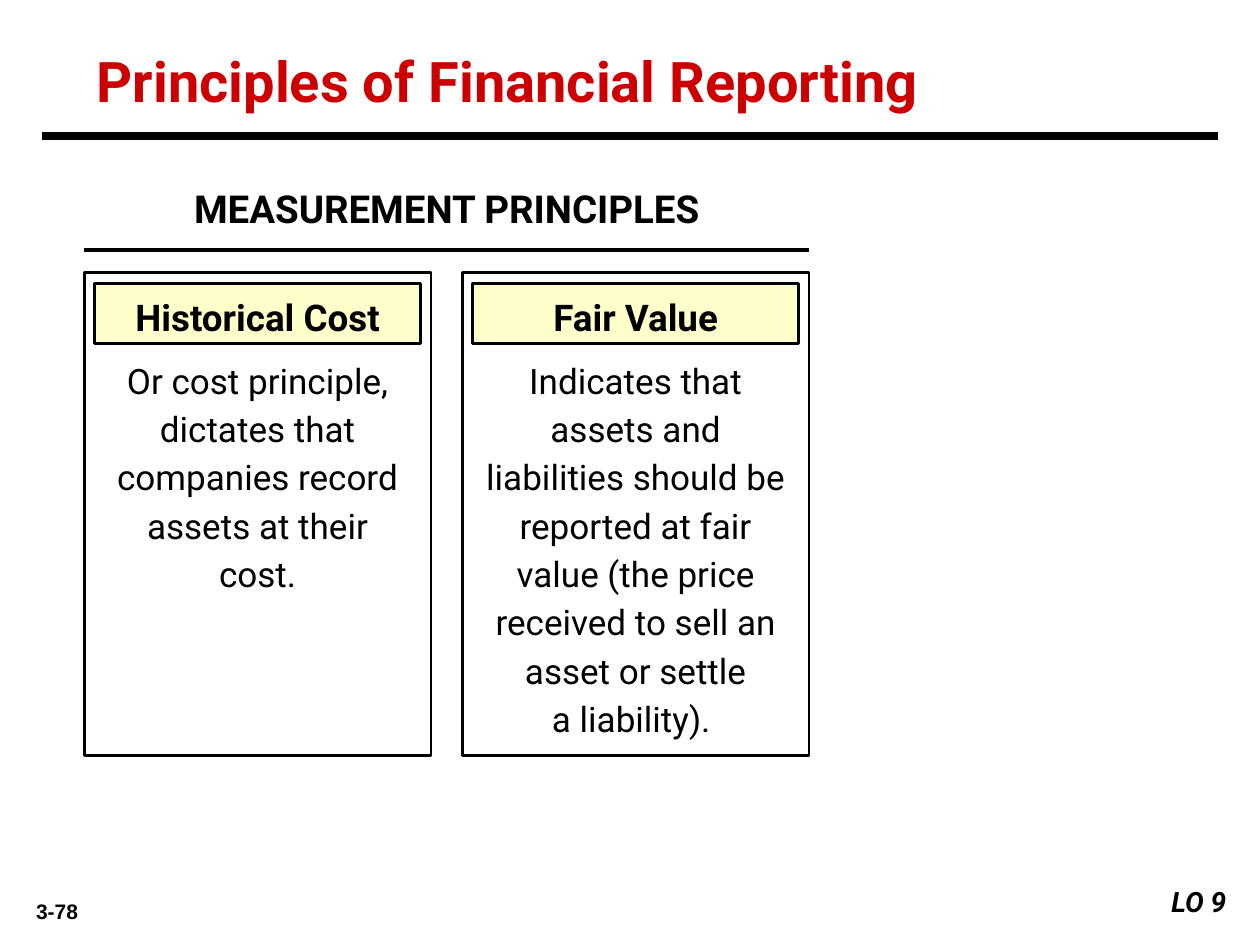
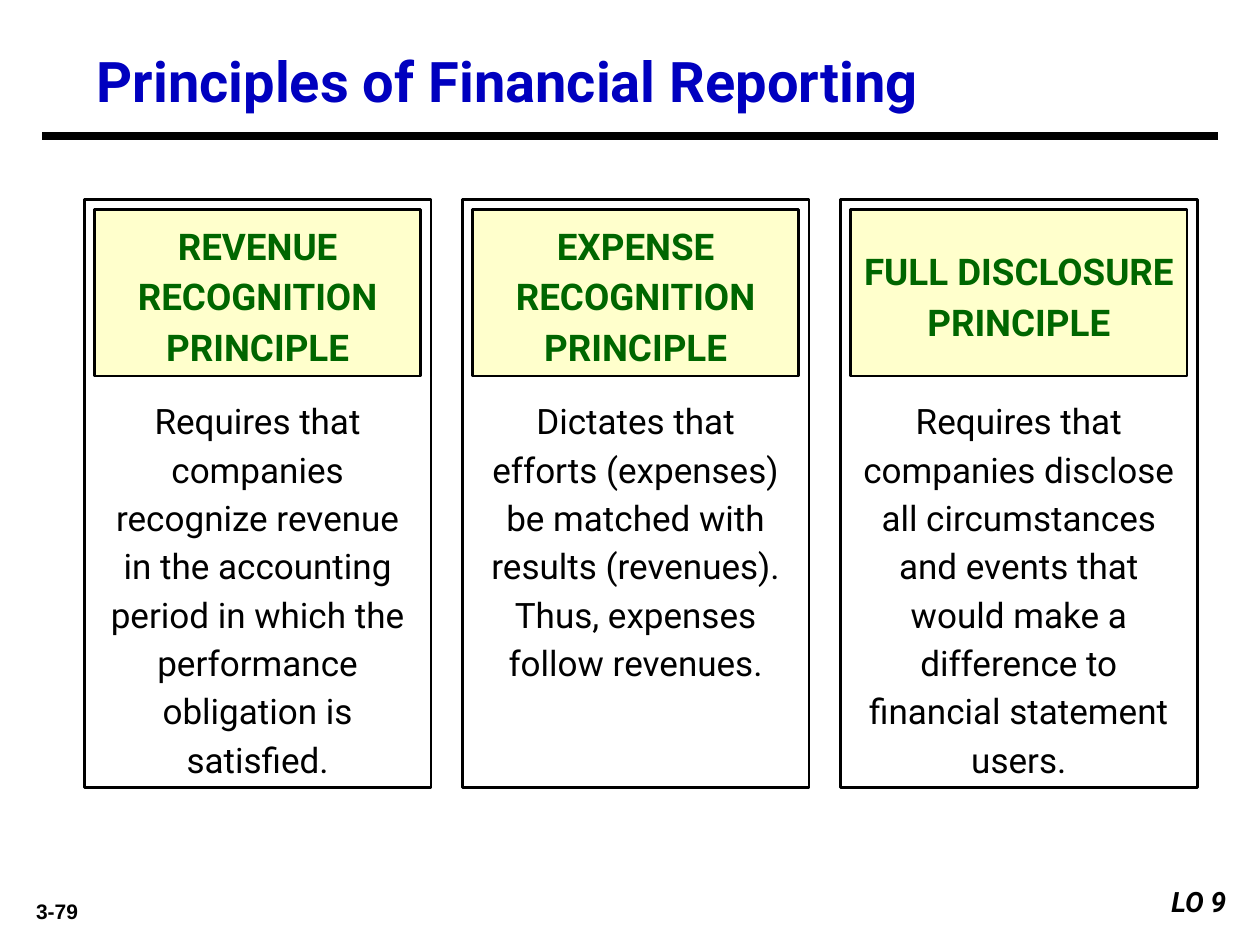
from lxml.etree import SubElement
from pptx import Presentation
from pptx.dml.color import RGBColor
from pptx.enum.shapes import MSO_CONNECTOR, MSO_SHAPE
from pptx.enum.text import MSO_ANCHOR, PP_ALIGN
from pptx.oxml.ns import qn
from pptx.util import Cm, Pt

BLACK = RGBColor(0x00, 0x00, 0x00)
WHITE = RGBColor(0xFF, 0xFF, 0xFF)
CREAM = RGBColor(0xFF, 0xFF, 0xCC)
RED = RGBColor(0xCC, 0x00, 0x00)
BLUE = RGBColor(0x00, 0x00, 0xBF)
GREEN = RGBColor(0x00, 0x66, 0x00)

TITLE = "Principles of Financial Reporting"
OBJECTIVE = "LO 9"
SLIDES = [
    {
        "number": "3-78", "title_color": RED, "heading_color": BLACK,
        "section": "MEASUREMENT PRINCIPLES",
        "top": 5.5, "height": 9.73, "heading_height": 1.22, "body_top": 6.99,
        "cards": [
            ("Historical Cost", 6.99,
             ["Or cost principle, dictates that companies record assets at their cost."]),
            ("Fair Value", 6.99,
             ["Indicates that assets and liabilities should be reported at fair value "
              "(the price received to sell an asset or settle",
              "a liability). "]),
        ],
    },
    {
        "number": "3-79", "title_color": BLUE, "heading_color": GREEN,
        "section": None,
        "top": 4.02, "height": 11.86, "heading_height": 3.35, "body_top": 7.81,
        "cards": [
            ("REVENUE RECOGNITION PRINCIPLE", 6.99,
             ["Requires that companies recognize revenue in the accounting period "
              "in which the performance obligation is satisfied."]),
            ("EXPENSE RECOGNITION PRINCIPLE", 6.99,
             ["Dictates that efforts (expenses) be matched with results (revenues). "
              "Thus, expenses follow revenues."]),
            ("FULL DISCLOSURE PRINCIPLE", 7.2,
             ["Requires that companies disclose all circumstances",
              "and events that would make a difference to financial statement users."]),
        ],
    },
]

CARDS_LEFT = 1.7
CARD_PITCH = 7.62
CARD_PAD = 0.21


def write(shape, paragraphs, size, color=BLACK, bold=False, italic=False,
          align=PP_ALIGN.CENTER, anchor=MSO_ANCHOR.TOP, spacing=None, font="Roboto"):
    frame = shape.text_frame
    frame.word_wrap = True
    frame.vertical_anchor = anchor
    for index, text in enumerate(paragraphs):
        paragraph = frame.add_paragraph() if index else frame.paragraphs[0]
        paragraph.alignment = align
        if spacing:
            paragraph.line_spacing = spacing
        run = paragraph.add_run()
        run.text = text
        run.font.name = font
        run.font.size = Pt(size)
        run.font.bold = bold
        run.font.italic = italic
        run.font.color.rgb = color


def add_text(slide, left, top, width, height, paragraphs, size, **style):
    box = slide.shapes.add_textbox(Cm(left), Cm(top), Cm(width), Cm(height))
    write(box, paragraphs, size, **style)


def add_box(slide, left, top, width, height, fill=None, outlined=True):
    box = slide.shapes.add_shape(
        MSO_SHAPE.RECTANGLE, Cm(left), Cm(top), Cm(width), Cm(height))
    box.shadow.inherit = False
    if fill is None:
        box.fill.background()
    else:
        box.fill.solid()
        box.fill.fore_color.rgb = fill
    if outlined:
        box.line.color.rgb = BLACK
        box.line.width = Pt(1.5)
    else:
        box.line.fill.background()
    return box


def add_rule(slide, left, right, y, weight):
    rule = slide.shapes.add_connector(
        MSO_CONNECTOR.STRAIGHT, Cm(left), Cm(y), Cm(right), Cm(y))
    rule.line.color.rgb = BLACK
    rule.line.width = Pt(weight)
    SubElement(rule._element.spPr, qn("a:effectLst"))


def add_frame(slide, content):
    add_text(slide, 1.7, 0.84, 22.86, 1.55, [TITLE], 32, color=content["title_color"],
             bold=True, align=PP_ALIGN.LEFT, anchor=MSO_ANCHOR.MIDDLE)
    add_rule(slide, 0.85, 24.55, 2.75, 4.5)
    add_text(slide, 0.2, 17.98, 1.9, 0.76, [content["number"]], 12, bold=True, font="Arial")
    objective = add_box(slide, 23.07, 17.7, 1.9, 0.94, WHITE, outlined=False)
    write(objective, [OBJECTIVE], 16, bold=True, italic=True, align=PP_ALIGN.RIGHT)


def add_cards(slide, content):
    top = content["top"]
    for column, (heading, width, body) in enumerate(content["cards"]):
        left = CARDS_LEFT + column * CARD_PITCH
        inner_left, inner_width = left + CARD_PAD, width - 2 * CARD_PAD
        add_box(slide, left, top, width, content["height"])
        heading_box = add_box(slide, inner_left, top + CARD_PAD, inner_width,
                              content["heading_height"], CREAM)
        write(heading_box, [heading], 21, color=content["heading_color"], bold=True,
              anchor=MSO_ANCHOR.MIDDLE, spacing=1.15)
        body_height = top + content["height"] - content["body_top"]
        add_text(slide, inner_left, content["body_top"], inner_width, body_height,
                 body, 20, spacing=1.15)
    return left + width


def main():
    deck = Presentation()
    deck.slide_width, deck.slide_height = Cm(25.4), Cm(19.05)
    for content in SLIDES:
        slide = deck.slides.add_slide(deck.slide_layouts[6])
        add_frame(slide, content)
        cards_right = add_cards(slide, content)
        if content["section"]:
            add_text(slide, CARDS_LEFT, 3.6, cards_right - CARDS_LEFT, 1.19,
                     [content["section"]], 22, bold=True)
            add_rule(slide, CARDS_LEFT, cards_right, 5.04, 2.25)
    deck.save("out.pptx")


if __name__ == "__main__":
    main()
